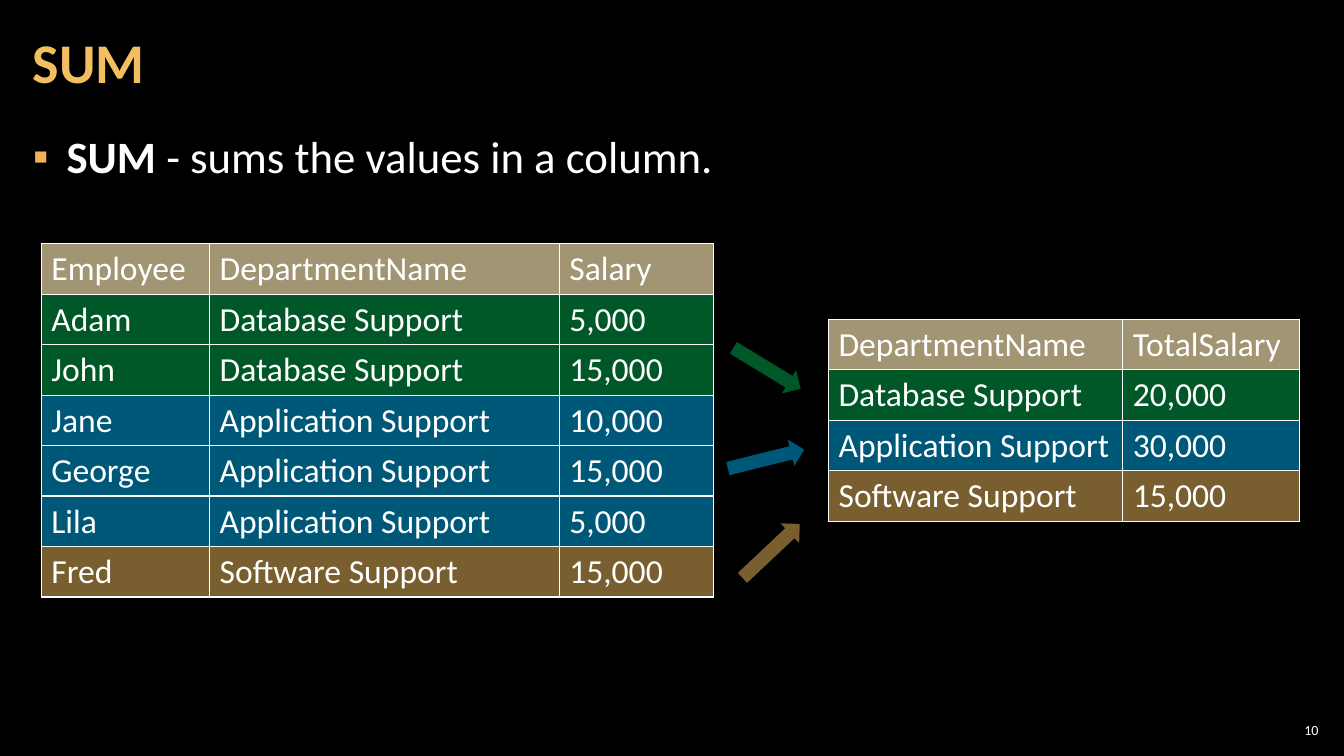
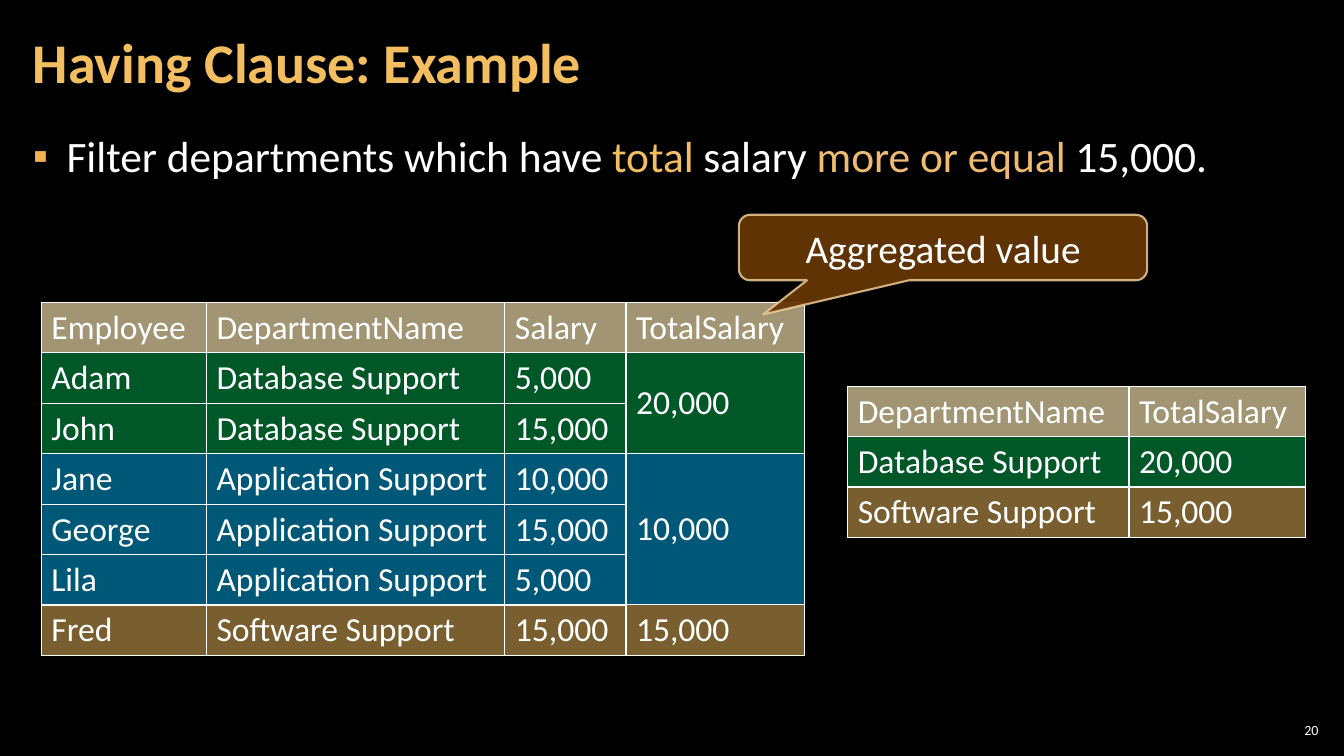
from dataclasses import dataclass, field
from typing import Any, NamedTuple

from lxml import etree
from pptx import Presentation
from pptx.dml.color import RGBColor
from pptx.enum import shapes, text
from pptx.oxml.ns import qn
from pptx.util import Pt

FONT = "Calibri"
BLACK = RGBColor(0x00, 0x00, 0x00)
WHITE = RGBColor(0xFF, 0xFF, 0xFF)
GOLD = RGBColor(0xF3, 0xBE, 0x60)
AMBER = RGBColor(0xEF, 0xBB, 0x72)
BULLET = RGBColor(0xF2, 0xB2, 0x54)
HEADER = RGBColor(0xA1, 0x95, 0x74)
GREEN = RGBColor(0x00, 0xB0, 0x50)
BLUE = RGBColor(0x00, 0xB0, 0xF0)
BROWN = RGBColor(0x66, 0x36, 0x06)
CREAM = RGBColor(0xF8, 0xD4, 0x9E)

ROW_HEIGHT = 36
TABLE_LEFT = 29.5
HALF = 50

DATABASE, APPLICATION, SOFTWARE = (
    "Database Support", "Application Support", "Software Support")
DEPARTMENT_COLORS = {DATABASE: GREEN, APPLICATION: BLUE, SOFTWARE: GOLD}
EMPLOYEES = [
    ("Adam", DATABASE, "5,000"),
    ("John", DATABASE, "15,000"),
    ("Jane", APPLICATION, "10,000"),
    ("George", APPLICATION, "15,000"),
    ("Lila", APPLICATION, "5,000"),
    ("Fred", SOFTWARE, "15,000"),
]


class Box(NamedTuple):
    left: float
    top: float
    width: float
    height: float

    def lengths(self) -> list[Pt]:
        return [Pt(value) for value in self]


class Run(NamedTuple):
    words: str
    color: RGBColor = WHITE
    bold: bool = False


class Row(NamedTuple):
    color: RGBColor
    cells: tuple[str, ...]
    span: int = 1


class Arrow(NamedTuple):
    left: float
    top: float
    rotation: float
    color: RGBColor


@dataclass
class Grid:
    left: float
    top: float
    widths: list[float]
    header: tuple[str, ...]
    rows: list[Row]


@dataclass
class Page:
    number: str
    title: str
    bullet: list[Run]
    bullet_size: float
    grids: list[Grid]
    arrows: list[Arrow] = field(default_factory=list)
    callout: str = ""


TITLE_BOX = Box(15, 3, 754, 87)
BODY_BOX = Box(15, 89.3, 929.5, 438.5)
NUMBER_BOX = Box(910.8, 514, 33.8, 15)
CALLOUT_BOX = Box(527.8, 153.4, 291.6, 46.8)
TITLE_FRAME = {"vertical_anchor": text.MSO_ANCHOR.MIDDLE,
               "margin_left": Pt(8.5), "margin_right": Pt(8.5),
               "margin_top": Pt(2.8), "margin_bottom": Pt(2.8)}
BODY_FRAME = TITLE_FRAME | {"vertical_anchor": text.MSO_ANCHOR.TOP}
NUMBER_FRAME = TITLE_FRAME | {"margin_left": Pt(2.8), "margin_right": Pt(2.8)}


def apply(target: Any, values: dict[str, Any]) -> None:
    for name, value in values.items():
        setattr(target, name, value)


def write(paragraph: Any, runs: list[Run], size: float) -> None:
    for words, color, bold in runs:
        run = paragraph.add_run()
        run.text = words
        apply(run.font, {"name": FONT, "size": Pt(size), "bold": bold})
        run.font.color.rgb = color


def add_text(slide: Any, box: Box, runs: list[Run], size: float,
             frame_format: dict[str, Any], paragraph_format: dict[str, Any]) -> Any:
    frame = slide.shapes.add_textbox(*box.lengths()).text_frame
    apply(frame, {"word_wrap": True} | frame_format)
    paragraph = frame.paragraphs[0]
    apply(paragraph, paragraph_format)
    write(paragraph, runs, size)
    return paragraph


def add_bullet(paragraph: Any) -> None:
    properties = paragraph._p.get_or_add_pPr()
    apply_indent = {"marL": Pt(24), "indent": Pt(-24)}
    for name, length in apply_indent.items():
        properties.set(name, str(int(length)))
    color = etree.SubElement(properties, qn("a:buClr"))
    etree.SubElement(color, qn("a:srgbClr"), val=str(BULLET))
    etree.SubElement(properties, qn("a:buFont"), typeface="Arial")
    etree.SubElement(properties, qn("a:buChar"), char="▪")


def fade(parent: Any, opacity: int) -> None:
    """Make the first colour under parent partly transparent."""
    color = next(parent.iter(qn("a:srgbClr")))
    etree.SubElement(color, qn("a:alpha"), val=str(opacity * 1000))


def add_borders(cell: Any) -> None:
    properties = cell._tc.get_or_add_tcPr()
    for position, side in enumerate(("lnL", "lnR", "lnT", "lnB")):
        line = etree.Element(qn(f"a:{side}"), w=str(int(Pt(1))))
        fill = etree.SubElement(line, qn("a:solidFill"))
        etree.SubElement(fill, qn("a:srgbClr"), val=str(WHITE))
        properties.insert(position, line)


def add_grid(slide: Any, grid: Grid) -> None:
    rows = [Row(HEADER, grid.header), *grid.rows]
    height = ROW_HEIGHT * sum(row.span for row in rows)
    box = Box(grid.left, grid.top, sum(grid.widths), height)
    table = slide.shapes.add_table(
        len(rows), len(grid.widths), *box.lengths()).table
    apply(table, {"first_row": False, "horz_banding": False})
    for column, width in zip(table.columns, grid.widths):
        column.width = Pt(width)
    for table_row, row in zip(table.rows, rows):
        table_row.height = Pt(ROW_HEIGHT * row.span)
        for cell, words in zip(table_row.cells, row.cells):
            cell.vertical_anchor = text.MSO_ANCHOR.MIDDLE
            write(cell.text_frame.paragraphs[0], [Run(words)], 24)
            cell.fill.solid()
            cell.fill.fore_color.rgb = row.color
            if row.color != HEADER:
                fade(cell._tc.tcPr, HALF)
            add_borders(cell)


def add_filled(slide: Any, kind: Any, box: Box, color: RGBColor,
               opacity: int) -> Any:
    shape = slide.shapes.add_shape(kind, *box.lengths())
    shape.shadow.inherit = False
    shape.fill.solid()
    shape.fill.fore_color.rgb = color
    fade(shape._element.spPr, opacity)
    shape.line.fill.background()
    return shape


def add_arrow(slide: Any, arrow: Arrow) -> None:
    box = Box(arrow.left, arrow.top, 56.2, 19.4)
    shape = add_filled(slide, shapes.MSO_SHAPE.RIGHT_ARROW, box, arrow.color, HALF)
    shape.rotation = arrow.rotation


def add_callout(slide: Any, words: str) -> None:
    callout = add_filled(slide, shapes.MSO_SHAPE.ROUNDED_RECTANGULAR_CALLOUT,
                         CALLOUT_BOX, BROWN, 95)
    for index, value in enumerate((-0.44, 1.02, 0.17)):
        callout.adjustments[index] = value
    callout.line.color.rgb = CREAM
    callout.line.width = Pt(1.5)
    fade(callout._element.spPr.find(qn("a:ln")), 80)
    frame = callout.text_frame
    apply(frame, {"word_wrap": True, "vertical_anchor": text.MSO_ANCHOR.MIDDLE})
    frame.paragraphs[0].alignment = text.PP_ALIGN.CENTER
    write(frame.paragraphs[0], [Run(words)], 28)


def add_page(deck: Any, page: Page) -> None:
    slide = deck.slides.add_slide(deck.slide_layouts[6])
    add_text(slide, TITLE_BOX, [Run(page.title, GOLD, True)], 40,
             TITLE_FRAME, {"line_spacing": 0.9})
    add_bullet(add_text(slide, BODY_BOX, page.bullet, page.bullet_size, BODY_FRAME,
                        {"space_before": Pt(6), "space_after": Pt(6)}))
    add_text(slide, NUMBER_BOX, [Run(page.number)], 10,
             NUMBER_FRAME, {"alignment": text.PP_ALIGN.RIGHT})
    for grid in page.grids:
        add_grid(slide, grid)
    for arrow in page.arrows:
        add_arrow(slide, arrow)
    if page.callout:
        add_callout(slide, page.callout)


def employee_grid(top: float, widths: list[float]) -> Grid:
    rows = [Row(DEPARTMENT_COLORS[record[1]], record) for record in EMPLOYEES]
    return Grid(TABLE_LEFT, top, widths,
                ("Employee", "DepartmentName", "Salary"), rows)


def total_grid(left: float, top: float, name_width: float,
               totals: dict[str, str]) -> Grid:
    rows = [Row(DEPARTMENT_COLORS[name], (name, total))
            for name, total in totals.items()]
    return Grid(left, top, [name_width, 126],
                ("DepartmentName", "TotalSalary"), rows)


PAGES = [
    Page(
        "10", "SUM",
        [Run("SUM", bold=True), Run(" - sums the values in a column.")], 32,
        [employee_grid(174.2, [120.2, 249.8, 110.2]),
         total_grid(591.8, 228.2, 210.2,
                    {DATABASE: "20,000", APPLICATION: "30,000",
                     SOFTWARE: "15,000"})],
        arrows=[Arrow(519.8, 253.4, 31.4, GREEN),
                Arrow(519.1, 318.2, 346, BLUE),
                Arrow(522.7, 383.8, 316.7, GOLD)],
    ),
    Page(
        "20", "Having Clause: Example",
        [Run("Filter departments which have "), Run("total", GOLD),
         Run(" salary "), Run("more or equal ", AMBER), Run("15,000.")], 31,
        [total_grid(605.5, 275.8, 200.9,
                    {DATABASE: "20,000", SOFTWARE: "15,000"}),
         employee_grid(216, [118, 213.1, 86.4]),
         Grid(447.1, 216, [127.4], ("TotalSalary",),
              [Row(GREEN, ("20,000",), 2), Row(BLUE, ("10,000",), 3),
               Row(GOLD, ("15,000",))])],
        callout="Aggregated value",
    ),
]


def main() -> None:
    deck = Presentation()
    apply(deck, {"slide_width": Pt(960), "slide_height": Pt(540)})
    backdrop = deck.slide_master.background.fill
    backdrop.solid()
    backdrop.fore_color.rgb = BLACK
    for page in PAGES:
        add_page(deck, page)
    deck.save("out.pptx")


if __name__ == "__main__":
    main()
